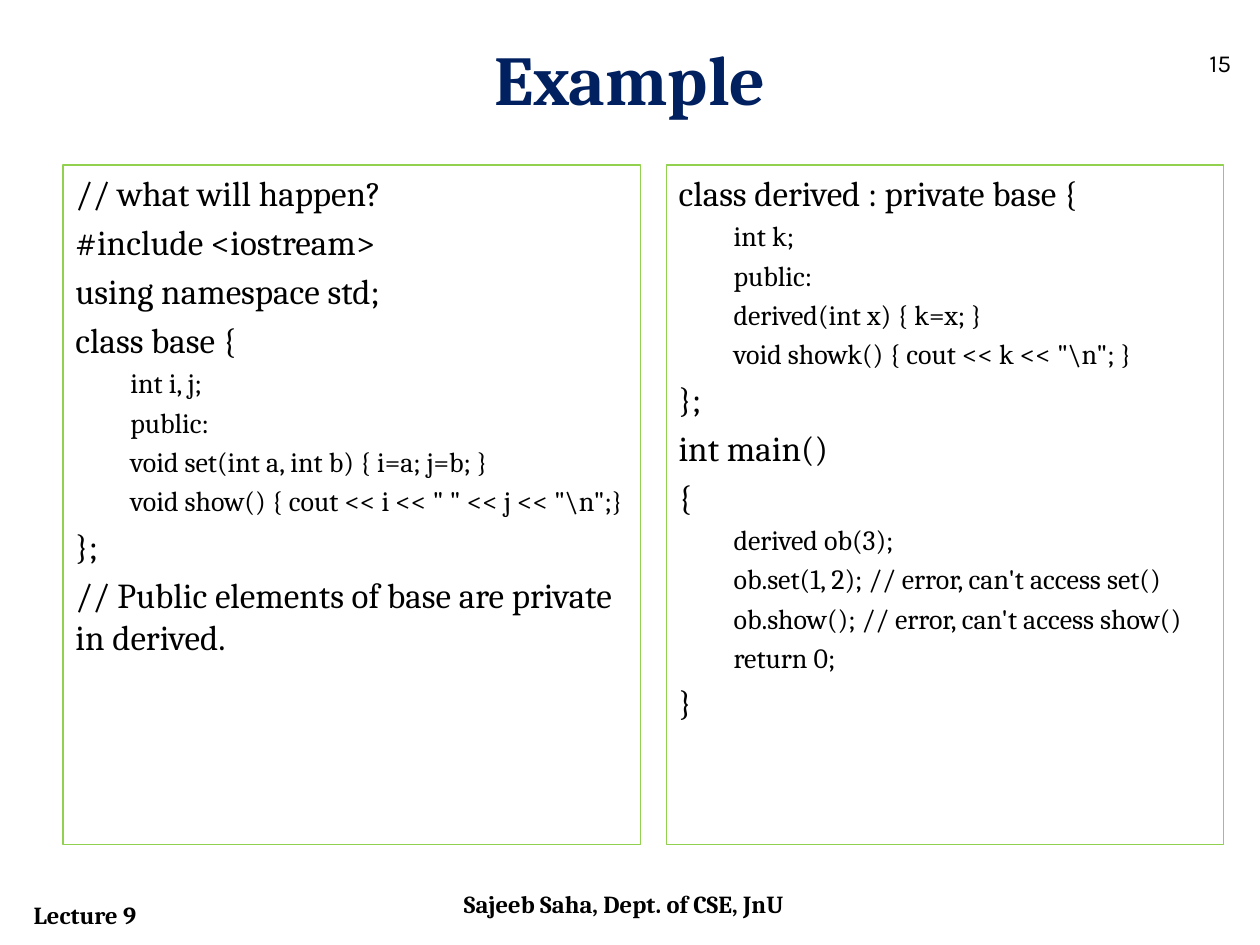
from pptx import Presentation
from pptx import util as u
from pptx.dml.color import RGBColor
from pptx.enum import shapes, text

BLACK = RGBColor(0x00, 0x00, 0x00)
NAVY = RGBColor(0x00, 0x20, 0x60)
GREEN = RGBColor(0x92, 0xD0, 0x50)
SERIF = "Cambria"
CODE_SIZES = (20, 16)
CODE_INDENT = u.Cm(1.11)

BASE_CODE = [
    (0, "// what will happen?"),
    (0, "#include <iostream>"),
    (0, "using namespace std;"),
    (0, "class base {"),
    (1, "int i, j;"),
    (1, "public:"),
    (1, "void set(int a, int b) { i=a; j=b; }"),
    (1, r'void show() { cout << i << " " << j << "\n";}'),
    (0, "};"),
    (0, "// Public elements of base are private in derived."),
]
DERIVED_CODE = [
    (0, "class derived : private base {"),
    (1, "int k;"),
    (1, "public:"),
    (1, "derived(int x) { k=x; }"),
    (1, r'void showk() { cout << k << "\n"; }'),
    (0, "};"),
    (0, "int main()"),
    (0, "{"),
    (1, "derived ob(3);"),
    (1, "ob.set(1, 2); // error, can't access set()"),
    (1, "ob.show(); // error, can't access show()"),
    (1, "return 0;"),
    (0, "}"),
]


def style_runs(paragraph, size, color=BLACK, bold=False, name=SERIF):
    for run in paragraph.runs:
        run.font.name = name
        run.font.size = u.Pt(size)
        run.font.bold = bold
        run.font.color.rgb = color


def add_label(slide, words, box, size=14, alignment=text.PP_ALIGN.LEFT,
              anchor=text.MSO_ANCHOR.TOP, **style):
    frame = slide.shapes.add_textbox(*map(u.Cm, box)).text_frame
    frame.word_wrap = True
    frame.vertical_anchor = anchor
    frame.text = words
    paragraph = frame.paragraphs[0]
    paragraph.alignment = alignment
    style_runs(paragraph, size, **style)


def add_code_panel(slide, lines, left, width):
    panel = slide.shapes.add_shape(shapes.MSO_SHAPE.RECTANGLE, u.Cm(left),
                                   u.Cm(3.33), u.Cm(width), u.Cm(13.69))
    panel.shadow.inherit = False
    panel.fill.background()
    panel.line.color.rgb = GREEN
    panel.line.width = u.Pt(0.75)
    frame = panel.text_frame
    frame.word_wrap = True
    frame.vertical_anchor = text.MSO_ANCHOR.TOP
    frame.text = "\n".join(line for _, line in lines)
    for index, (level, _) in enumerate(lines):
        paragraph = frame.paragraphs[index]
        size = CODE_SIZES[level]
        paragraph.alignment = text.PP_ALIGN.LEFT
        paragraph.level = level
        if level:
            properties = paragraph._p.get_or_add_pPr()
            properties.set("marL", str(CODE_INDENT))
            properties.set("indent", "0")
        if index:
            paragraph.space_before = u.Pt(size * 0.2)
        style_runs(paragraph, size)


def main():
    presentation = Presentation()
    presentation.slide_width = u.Cm(25.4)
    presentation.slide_height = u.Cm(19.05)
    slide = presentation.slides.add_slide(presentation.slide_layouts[6])

    add_label(slide, "Lecture 9", (0.43, 18.01, 5.08, 0.86), bold=True)
    add_code_panel(slide, BASE_CODE, 1.27, 11.64)
    add_code_panel(slide, DERIVED_CODE, 13.43, 11.24)
    add_label(slide, "Example", (1.27, 0.58, 22.86, 1.96), size=40,
              alignment=text.PP_ALIGN.CENTER, anchor=text.MSO_ANCHOR.MIDDLE,
              color=NAVY, bold=True)
    add_label(slide, "Sajeeb Saha, Dept. of CSE, JnU", (9.1, 17.8, 7.2, 1.02),
              bold=True)
    add_label(slide, "15", (24.13, 0.84, 1.07, 1.02), name="Karla")

    presentation.save("out.pptx")


if __name__ == "__main__":
    main()
